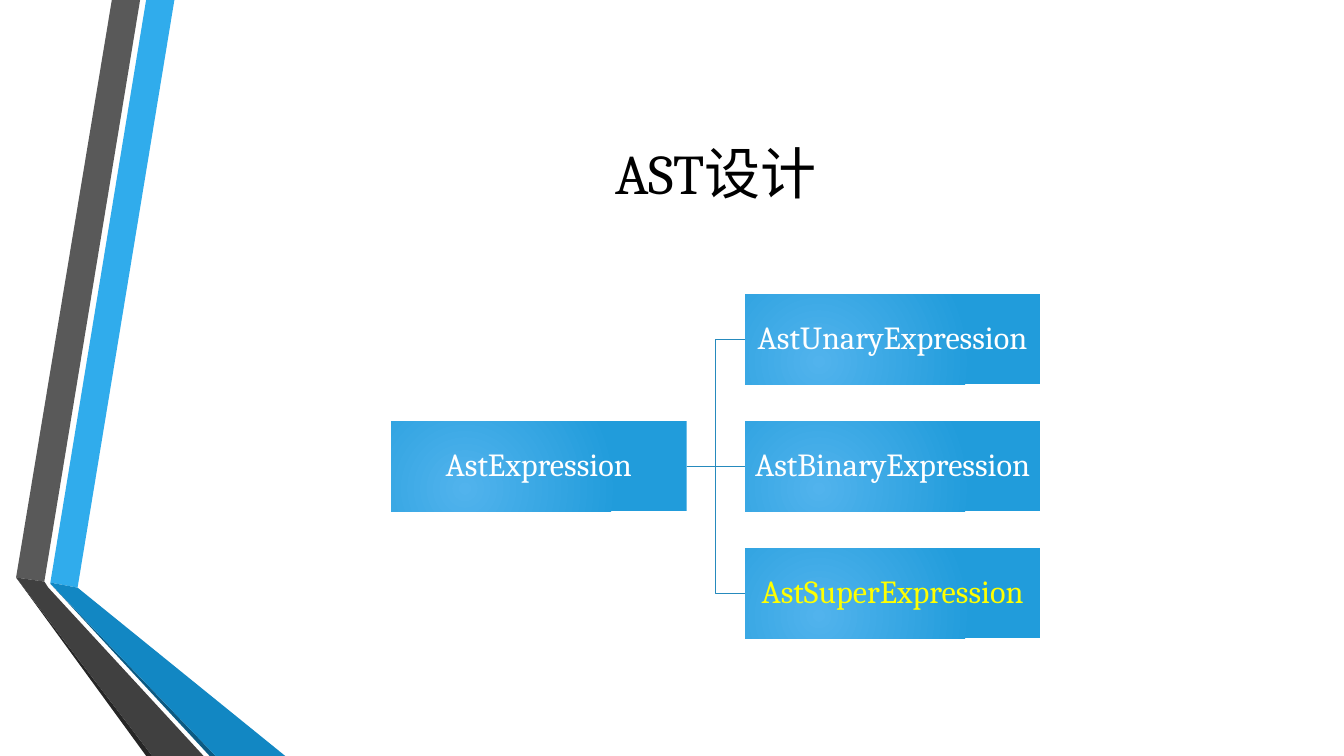
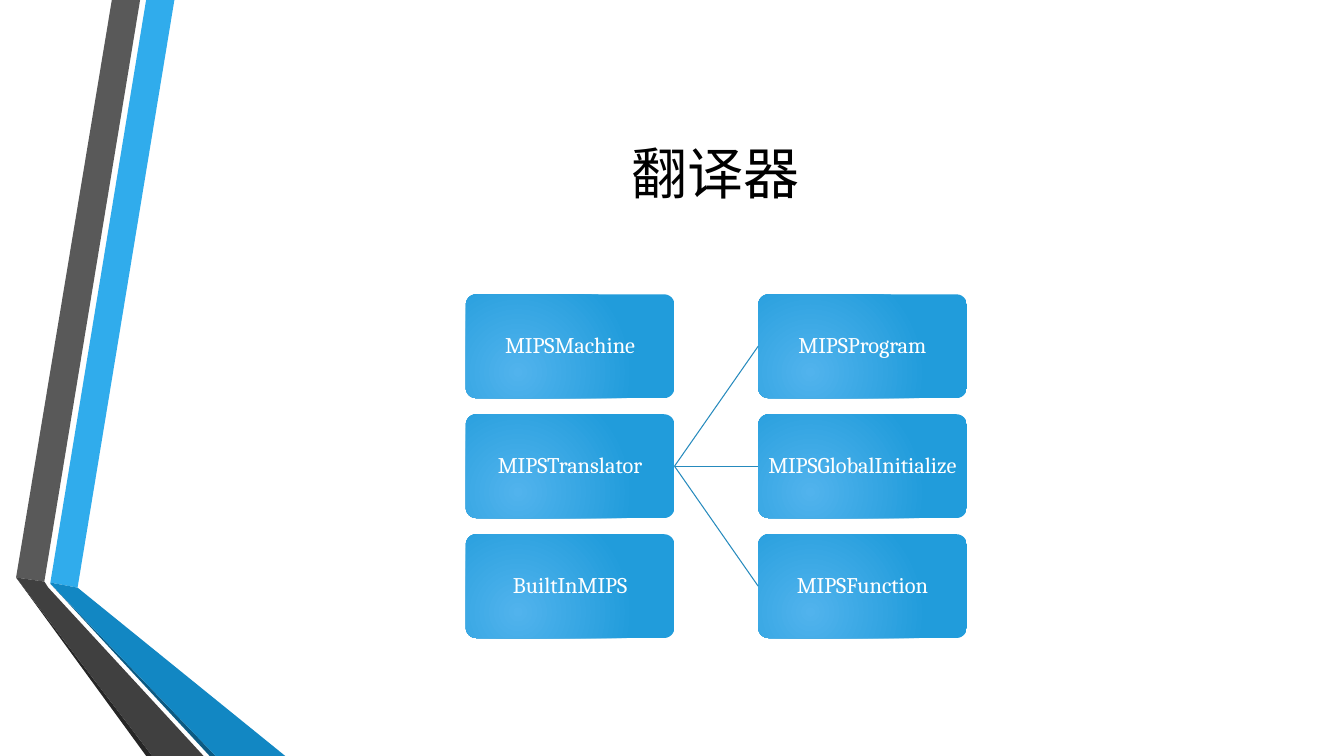
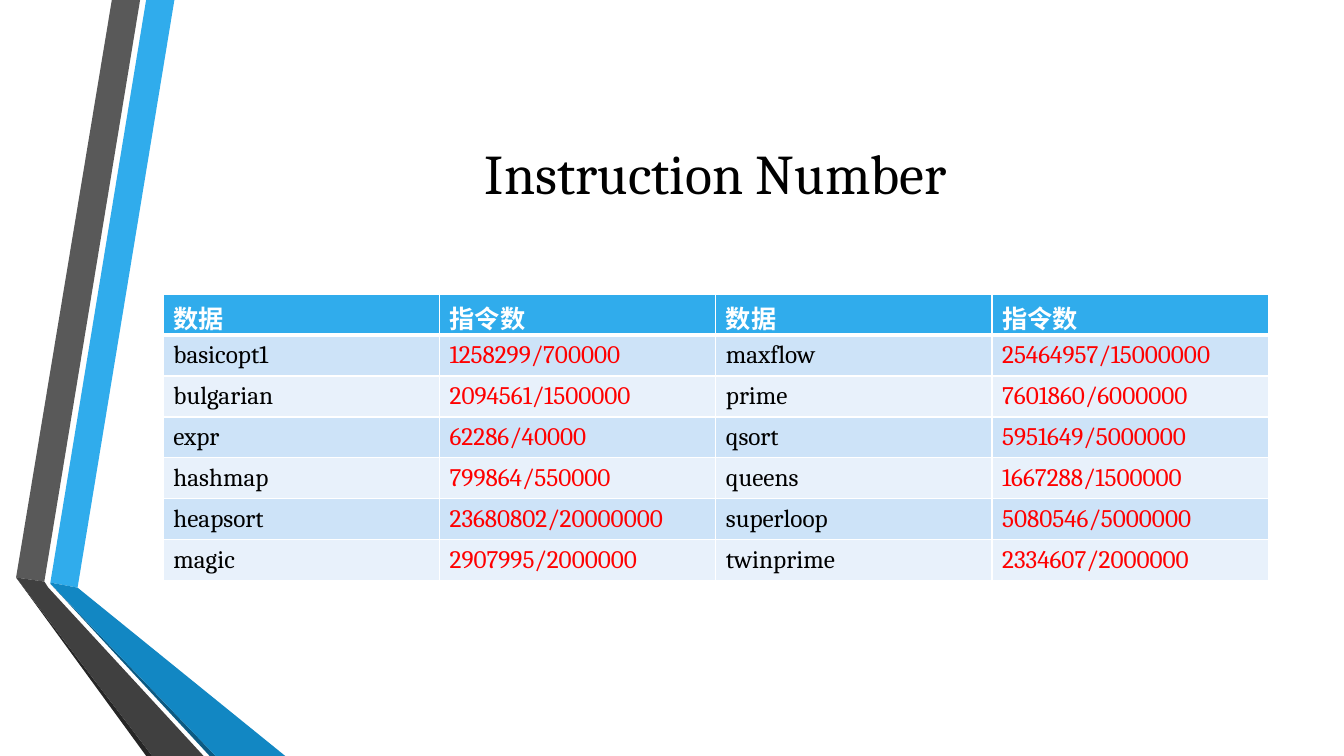
from lxml import etree
from pptx import Presentation
from pptx.dml.color import RGBColor
from pptx.enum.shapes import MSO_CONNECTOR, MSO_SHAPE
from pptx.enum.text import MSO_ANCHOR, PP_ALIGN
from pptx.oxml.ns import qn
from pptx.util import Inches, Pt

FONT = "Cambria"
BLACK = RGBColor(0x00, 0x00, 0x00)
WHITE = RGBColor(0xFF, 0xFF, 0xFF)
YELLOW = RGBColor(0xFF, 0xFF, 0x00)
RED = RGBColor(0xFF, 0x00, 0x00)
SKY = RGBColor(0x30, 0xAC, 0xEC)
GREY = RGBColor(0x59, 0x59, 0x59)
CHARCOAL = RGBColor(0x40, 0x40, 0x40)
SOOT = RGBColor(0x26, 0x26, 0x26)
OCEAN = RGBColor(0x12, 0x87, 0xC3)
NAVY = RGBColor(0x0C, 0x5A, 0x82)
LINK = RGBColor(0x26, 0x8A, 0xBD)
GLOW = RGBColor(0x51, 0xB3, 0xED)
NODE = RGBColor(0x21, 0x9C, 0xDB)
ROW_TINTS = (RGBColor(0xE8, 0xF1, 0xFB), RGBColor(0xCD, 0xE3, 0xF8))

RIBBONS = [
    (SKY, [(0.5, 5.78), (0.77, 5.83), (1.73, 0), (1.45, 0)]),
    (GREY, [(1.39, 0), (1.11, 0), (0.16, 5.73), (0.44, 5.77)]),
    (SOOT, [(0.16, 5.73), (1.45, 7.5), (1.51, 7.5)]),
    (NAVY, [(0.5, 5.79), (2.08, 7.5), (2.14, 7.5)]),
    (OCEAN, [(0.5, 5.79), (2.14, 7.5), (2.83, 7.5), (0.77, 5.83), (0.5, 5.78)]),
    (CHARCOAL, [(2.02, 7.5), (0.48, 5.83), (0.44, 5.77), (0.16, 5.73), (1.51, 7.5)]),
]
LEFT, WIDTH = 1.62, 10.96
BODY_TOP = 2.92
LEFT_SITE, RIGHT_SITE = 1, 3

INSTRUCTION_COUNTS = [
    ("数据", "指令数", "数据", "指令数"),
    ("basicopt1", "1258299/700000", "maxflow", "25464957/15000000"),
    ("bulgarian", "2094561/1500000", "prime", "7601860/6000000"),
    ("expr", "62286/40000", "qsort", "5951649/5000000"),
    ("hashmap", "799864/550000", "queens", "1667288/1500000"),
    ("heapsort", "23680802/20000000", "superloop", "5080546/5000000"),
    ("magic", "2907995/2000000", "twinprime", "2334607/2000000"),
]


def write(frame, words, size, color, align=PP_ALIGN.LEFT, bold=False):
    frame.text = words
    frame.vertical_anchor = MSO_ANCHOR.MIDDLE
    paragraph = frame.paragraphs[0]
    paragraph.alignment = align
    font = paragraph.runs[0].font
    font.name, font.size, font.bold = FONT, Pt(size), bold
    font.color.rgb = color
    return paragraph


def add_ribbons(slide):
    band = slide.shapes.add_group_shape()
    for color, points in RIBBONS:
        corners = [(Inches(x), Inches(y)) for x, y in points]
        builder = band.shapes.build_freeform(*corners[0])
        builder.add_line_segments(corners[1:], close=True)
        ribbon = builder.convert_to_shape()
        ribbon.shadow.inherit = False
        ribbon.fill.solid()
        ribbon.fill.fore_color.rgb = color
        ribbon.line.fill.background()


def add_titled_slide(deck, title):
    slide = deck.slides.add_slide(deck.slide_layouts[6])
    add_ribbons(slide)
    heading = slide.shapes.add_textbox(
        Inches(LEFT), Inches(0.75), Inches(WIDTH), Inches(1.92))
    heading.text_frame.word_wrap = True
    write(heading.text_frame, title, 40, BLACK, PP_ALIGN.CENTER)
    return slide


def fill_radial(shape):
    shape.fill.gradient()
    for stop, position, color in zip(shape.fill.gradient_stops, (0, 1), (GLOW, NODE)):
        stop.position = position
        stop.color.rgb = color
    gradient = shape._element.spPr.find(qn("a:gradFill"))
    gradient.remove(gradient.find(qn("a:lin")))
    circle = etree.SubElement(gradient, qn("a:path"), path="circle")
    etree.SubElement(circle, qn("a:fillToRect"),
                     l="50000", t="100000", r="100000", b="50000")


def add_node(slide, preset, box, label, size, color=WHITE):
    node = slide.shapes.add_shape(preset, *map(Inches, box))
    node.shadow.inherit = False
    if preset == MSO_SHAPE.ROUNDED_RECTANGLE:
        node.adjustments[0] = 0.1
    fill_radial(node)
    node.line.fill.background()
    frame = node.text_frame
    frame.word_wrap = True
    frame.margin_left = frame.margin_right = Inches(0.02)
    frame.margin_top = frame.margin_bottom = Inches(0.02)
    write(frame, label, size, color, PP_ALIGN.CENTER).line_spacing = 0.9
    return node


def add_link(slide, parent, child, kind):
    link = slide.shapes.add_connector(kind, 0, 0, 0, 0)
    link.begin_connect(parent, RIGHT_SITE)
    link.end_connect(child, LEFT_SITE)
    link.line.color.rgb = LINK
    link.line.width = Pt(0.75)
    etree.SubElement(link._element.spPr, qn("a:effectLst"))


def set_border(cell, side, points):
    border = etree.SubElement(cell._tc.get_or_add_tcPr(), qn(f"a:ln{side}"),
                              w=str(Pt(points)))
    paint = etree.SubElement(border, qn("a:solidFill"))
    etree.SubElement(paint, qn("a:srgbClr"), val=str(WHITE))


def add_counts_table(slide, rows):
    table = slide.shapes.add_table(
        len(rows), len(rows[0]), Inches(LEFT), Inches(BODY_TOP),
        Inches(WIDTH), Inches(2.84)).table
    for r, row in enumerate(rows):
        header = r == 0
        for c, words in enumerate(row):
            cell = table.cell(r, c)
            color = WHITE if header else RED if c % 2 else BLACK
            write(cell.text_frame, words, 18, color, bold=header)
            cell.vertical_anchor = MSO_ANCHOR.MIDDLE
            for side in "LRTB":
                thick = (side == "B" and header) or (side == "T" and r == 1)
                set_border(cell, side, 3 if thick else 1)
            cell.fill.solid()
            cell.fill.fore_color.rgb = SKY if header else ROW_TINTS[r % 2]


def build_ast_slide(deck):
    slide = add_titled_slide(deck, "AST设计")
    width, height, pitch = 2.93, 0.89, 1.26
    rect = MSO_SHAPE.RECTANGLE
    base = add_node(slide, rect, (3.88, BODY_TOP + pitch, width, height),
                    "AstExpression", 23)
    kinds = [("AstUnaryExpression", WHITE, MSO_CONNECTOR.ELBOW),
             ("AstBinaryExpression", WHITE, MSO_CONNECTOR.STRAIGHT),
             ("AstSuperExpression", YELLOW, MSO_CONNECTOR.ELBOW)]
    for i, (label, color, route) in enumerate(kinds):
        derived = add_node(slide, rect, (7.39, BODY_TOP + i * pitch, width, height),
                           label, 23, color)
        add_link(slide, base, derived, route)


def build_translator_slide(deck):
    slide = add_titled_slide(deck, "翻译器")

    def add_column(left, labels):
        return [add_node(slide, MSO_SHAPE.ROUNDED_RECTANGLE,
                         (left, BODY_TOP + i * 1.19, 2.07, 1.03), label, 16)
                for i, label in enumerate(labels)]

    modules = add_column(4.62, ["MIPSMachine", "MIPSTranslator", "BuiltInMIPS"])
    outputs = add_column(7.52, ["MIPSProgram", "MIPSGlobalInitialize", "MIPSFunction"])
    for output in outputs:
        add_link(slide, modules[1], output, MSO_CONNECTOR.STRAIGHT)


def build_counts_slide(deck):
    slide = add_titled_slide(deck, "Instruction Number")
    add_counts_table(slide, INSTRUCTION_COUNTS)


def main():
    deck = Presentation()
    deck.slide_width, deck.slide_height = Inches(13.33), Inches(7.5)
    build_ast_slide(deck)
    build_translator_slide(deck)
    build_counts_slide(deck)
    deck.save("out.pptx")


if __name__ == "__main__":
    main()
